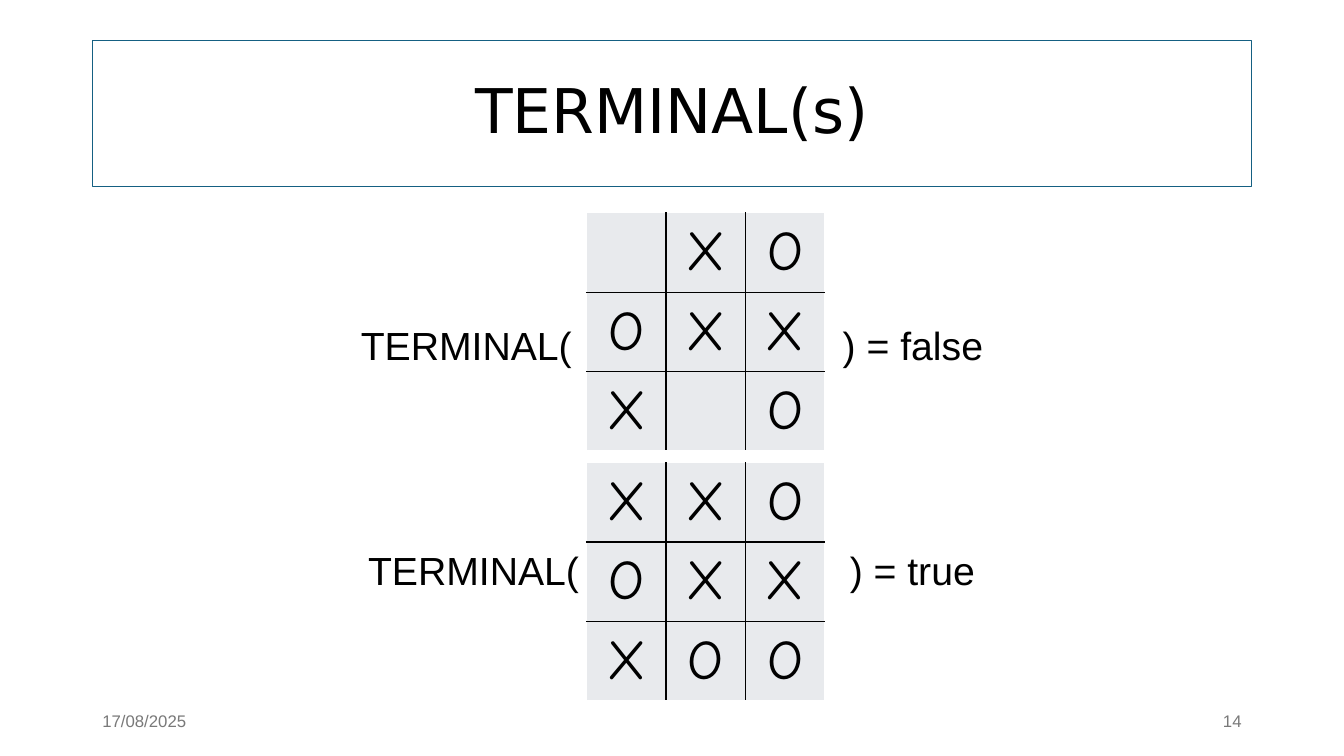
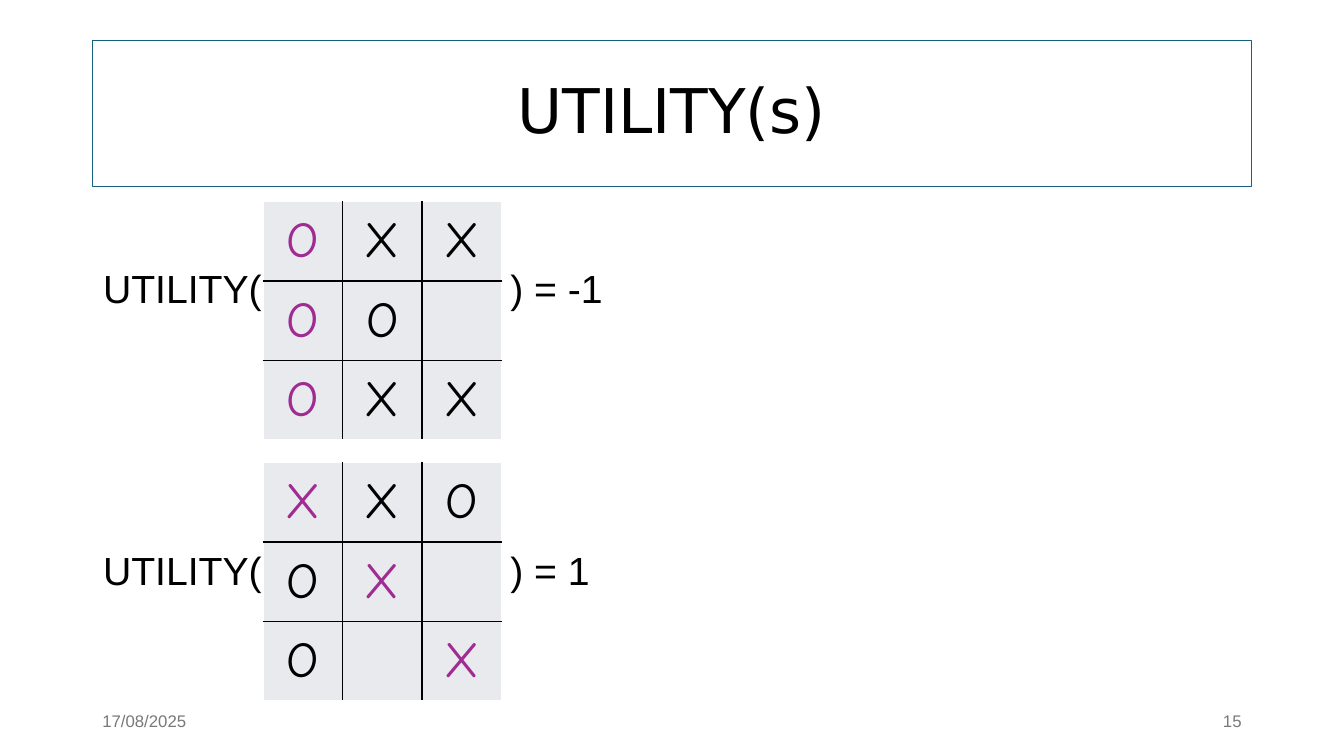
from lxml import etree
from pptx import Presentation
from pptx.dml.color import RGBColor
from pptx.enum import shapes, text
from pptx.oxml import ns
from pptx.util import Pt

INK, ACCENT, WIN = "000000", "156082", "A02B93"
WHITE, CELL, MUTED = "FFFFFF", "E8EAED", "797979"
TITLE_FONT, BODY_FONT, MARK_FONT = "DejaVu Sans", "Arial", "Comic Neue"
LEFT, WIDTH = 66, 828
BOARD_SIZE = 170.1
LEFT_ALIGN, CENTER, RIGHT_ALIGN = (
    text.PP_ALIGN.LEFT, text.PP_ALIGN.CENTER, text.PP_ALIGN.RIGHT)


def rgb(value):
    """Turn a hex string into a colour."""
    return RGBColor.from_string(value)


def write(frame, words, size, font, color=INK, align=LEFT_ALIGN):
    """Put one styled run into the first paragraph of a frame."""
    paragraph = frame.paragraphs[0]
    paragraph.alignment = align
    run = paragraph.add_run()
    run.text = words
    run.font.size, run.font.name = Pt(size), font
    run.font.color.rgb = rgb(color)
    return paragraph


def label(slide, box, words, size, color=INK, align=LEFT_ALIGN, inset=0):
    """Place a vertically centred line of body text in a box."""
    frame = slide.shapes.add_textbox(*map(Pt, box)).text_frame
    frame.word_wrap = True
    frame.vertical_anchor = text.MSO_ANCHOR.MIDDLE
    frame.margin_left = frame.margin_right = Pt(inset)
    write(frame, words, size, BODY_FONT, color, align)


def title_box(slide, box, words):
    """Draw the outlined title."""
    title = slide.shapes.add_shape(shapes.MSO_SHAPE.RECTANGLE, *map(Pt, box))
    title.shadow.inherit = False
    title.fill.background()
    title.line.color.rgb = rgb(ACCENT)
    title.line.width = Pt(0.75)
    title.text_frame.vertical_anchor = text.MSO_ANCHOR.MIDDLE
    write(title.text_frame, words, 44, TITLE_FONT, align=CENTER).line_spacing = 0.9


def footer(slide, box, date, number):
    """Set the date and the slide number at the two ends of a band."""
    left, top, width, height = box
    part = 216
    label(slide, (left, top, part, height), date, 12, MUTED, inset=7.2)
    label(slide, (left + width - part, top, part, height), number, 12, MUTED,
          RIGHT_ALIGN, 7.2)


def border(cell, side, color):
    """Draw one side of a table cell."""
    line = etree.SubElement(cell._tc.get_or_add_tcPr(), ns.qn(f"a:ln{side}"), w=str(Pt(1)))
    fill = etree.SubElement(line, ns.qn("a:solidFill"))
    etree.SubElement(fill, ns.qn("a:srgbClr"), val=color)


def board(slide, box, rows, winning, mark_size):
    """Draw a grid of marks with inner rules and coloured winning cells."""
    count = len(rows)
    last = count - 1
    grid = slide.shapes.add_table(count, count, *map(Pt, box)).table
    grid.first_row = grid.horz_banding = False
    for index in range(count):
        grid.columns[index].width = Pt(box[2] / count)
        grid.rows[index].height = Pt(box[3] / count)
    for r, marks in enumerate(rows):
        for c, mark in enumerate(marks):
            cell = grid.cell(r, c)
            outer = {"L": c == 0, "R": c == last, "T": r == 0, "B": r == last}
            for side, is_outer in outer.items():
                border(cell, side, WHITE if is_outer else INK)
            cell.fill.solid()
            cell.fill.fore_color.rgb = rgb(CELL)
            cell.vertical_anchor = text.MSO_ANCHOR.MIDDLE
            if mark != " ":
                write(cell.text_frame, mark, mark_size, MARK_FONT,
                      WIN if (r, c) in winning else INK, CENTER)


def equation(slide, box, call, result, middle, gap, rows, winning, mark_size):
    """Write a function call around a board, followed by its result."""
    height, width = 40, 180
    start, end = gap
    top = middle - height / 2
    label(slide, (start - width, top, width, height), call, 28, align=RIGHT_ALIGN)
    label(slide, (end, top, width, height), result, 28)
    board(slide, box, rows, winning, mark_size)


def function_slide(deck, title, number, call, board_left, mark_size, examples):
    """Build a slide that shows a function applied to example boards."""
    slide = deck.slides.add_slide(deck.slide_layouts[6])
    title_box(slide, (LEFT, 28.75, WIDTH, 104.4), title)
    footer(slide, (LEFT, 500.5, WIDTH, 28.8), "17/08/2025", number)
    for top, middle, gap, result, rows, winning in examples:
        equation(slide, (board_left, top, BOARD_SIZE, BOARD_SIZE), call, result,
                 middle, gap, rows, winning, mark_size)


def main():
    """Build and save the deck."""
    deck = Presentation()
    deck.slide_width, deck.slide_height = Pt(960), Pt(540)
    function_slide(deck, "TERMINAL(s)", "14", "TERMINAL(", 419, 40, [
        (152, 246, (408.4, 602), ") = false", [" XO", "OXX", "X O"], ()),
        (330.5, 407, (413.6, 607), ") = true", ["XXO", "OXX", "XOO"], ()),
    ])
    function_slide(deck, "UTILITY(s)", "15", "UTILITY(", 188, 36, [
        (144, 205.7, (187, 364.5), ") = -1", ["OXX", "OO ", "OXX"],
         [(0, 0), (1, 0), (2, 0)]),
        (330.5, 407, (187, 364.5), ") = 1", ["XXO", "OX ", "O X"],
         [(0, 0), (1, 1), (2, 2)]),
    ])
    deck.save("out.pptx")


if __name__ == "__main__":
    main()
